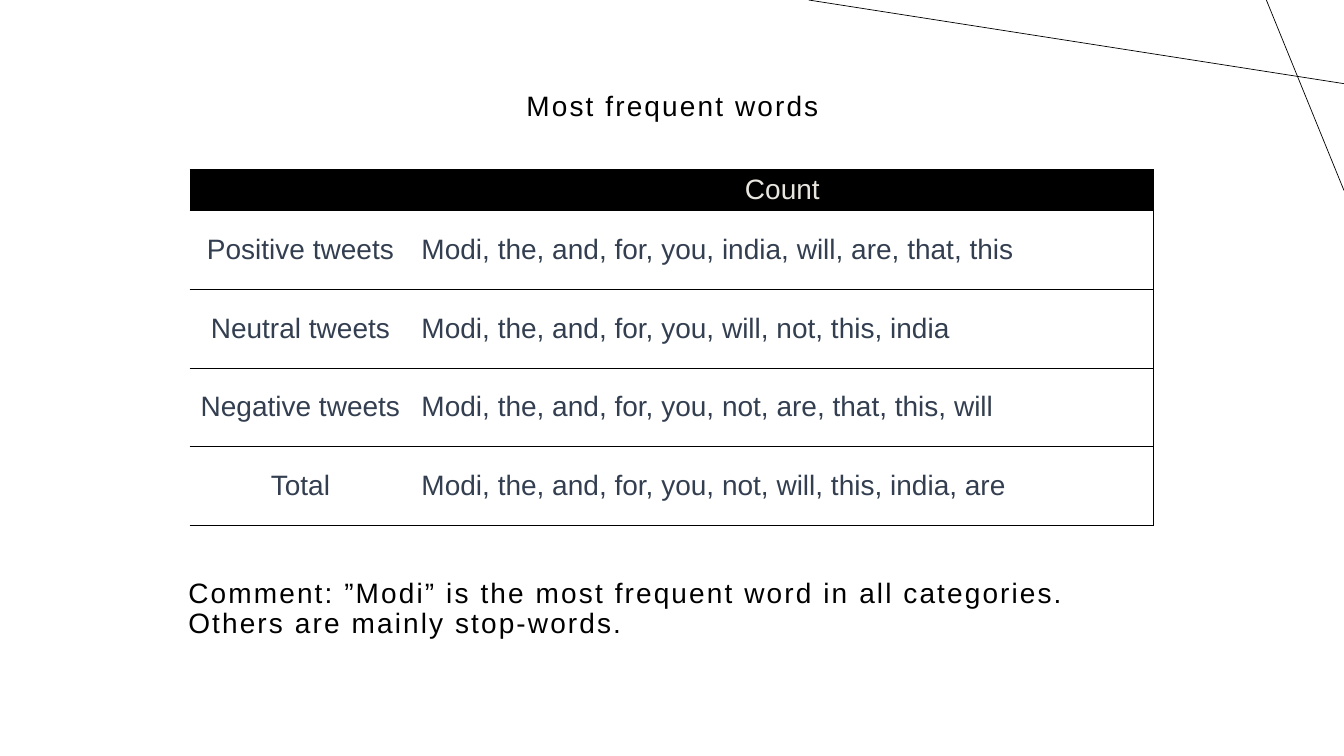
from lxml.etree import SubElement
from pptx import Presentation
from pptx.dml.color import RGBColor
from pptx.enum.shapes import MSO_CONNECTOR
from pptx.enum.text import MSO_ANCHOR, PP_ALIGN
from pptx.oxml.ns import qn
from pptx.util import Inches, Pt

# Content
TITLE = "Most frequent words"
COMMENT = ("Comment: ”Modi” is the most frequent word in all categories. "
           "Others are mainly stop-words.")
ROWS = [
    ("", "Count"),
    ("Positive tweets", "Modi, the, and, for, you, india, will, are, that, this"),
    ("Neutral tweets", "Modi, the, and, for, you, will, not, this, india"),
    ("Negative tweets", "Modi, the, and, for, you, not, are, that, this, will"),
    ("Total", "Modi, the, and, for, you, not, will, this, india, are"),
]
CORNER_LINES = [((13.33, 0.83), (8.02, 0)), ((12.56, 0), (13.33, 1.89))]
COLUMN_WIDTHS = (2.2, 7.36)
HEADER_HEIGHT, ROW_HEIGHT = 0.41, 0.78
COLORS = {"black": "000000", "white": "FFFFFF", "header": "E9E6DF", "body": "333F50"}
FONT, SIZE = "Arial", 20


def color(name):
    return RGBColor.from_string(COLORS[name])


def style_text(frame, color_name, align):
    para = frame.paragraphs[0]
    para.alignment = align
    font = para.runs[0].font if para.runs else para.font
    font.name, font.size, font.bold = FONT, Pt(SIZE), False
    font.color.rgb = color(color_name)
    return para


def style_caption(box, area, text, align):
    box.left, box.top, box.width, box.height = map(Inches, area)
    frame = box.text_frame
    frame.text = text
    frame.word_wrap = True
    frame.vertical_anchor = MSO_ANCHOR.MIDDLE
    para = style_text(frame, "black", align)
    para.line_spacing, para.space_before = 0.9, Pt(10)
    para.runs[0].font._element.set("spc", "150")


def set_borders(cell, visible):
    properties = cell._tc.get_or_add_tcPr()
    for side in "LRTB":
        border = SubElement(properties, qn(f"a:ln{side}"), w=str(Pt(0.5)))
        if side in visible:
            fill = SubElement(border, qn("a:solidFill"))
            SubElement(fill, qn("a:srgbClr"), val=COLORS["black"])
        else:
            SubElement(border, qn("a:noFill"))


deck = Presentation()
deck.slide_width, deck.slide_height = Inches(13.33), Inches(7.5)
page = deck.slides.add_slide(deck.slide_layouts[5])

# Corner lines
for start, end in CORNER_LINES:
    line = page.shapes.add_connector(
        MSO_CONNECTOR.STRAIGHT, *map(Inches, start + end))
    line.line.color.rgb = color("black")
    line.line.width = Pt(0.5)
    SubElement(line._element.spPr, qn("a:effectLst"))

# Title
style_caption(page.shapes.title, (3.01, 0.87, 7.32, 0.4), TITLE, PP_ALIGN.CENTER)

# Table of words
height = HEADER_HEIGHT + ROW_HEIGHT * (len(ROWS) - 1)
table = page.shapes.add_table(
    len(ROWS), len(COLUMN_WIDTHS), Inches(1.88), Inches(1.68),
    Inches(sum(COLUMN_WIDTHS)), Inches(height)).table
table.first_row = table.horz_banding = False
for column, width in zip(table.columns, COLUMN_WIDTHS):
    column.width = Inches(width)
for row_index, texts in enumerate(ROWS):
    header = row_index == 0
    table.rows[row_index].height = Inches(HEADER_HEIGHT if header else ROW_HEIGHT)
    for column_index, text in enumerate(texts):
        cell = table.cell(row_index, column_index)
        if text:
            cell.text = text
        cell.vertical_anchor = MSO_ANCHOR.MIDDLE
        centered = header or column_index == 0
        style_text(cell.text_frame, "header" if header else "body",
                   PP_ALIGN.CENTER if centered else PP_ALIGN.LEFT)
        set_borders(cell, "RTB" if column_index == len(texts) - 1 else "TB")
        cell.fill.solid()
        cell.fill.fore_color.rgb = color("black" if header else "white")

# Comment
comment = page.shapes.add_textbox(0, 0, 0, 0)
style_caption(comment, (1.77, 5.46, 9.8, 1.17), COMMENT, PP_ALIGN.LEFT)

deck.save("out.pptx")
